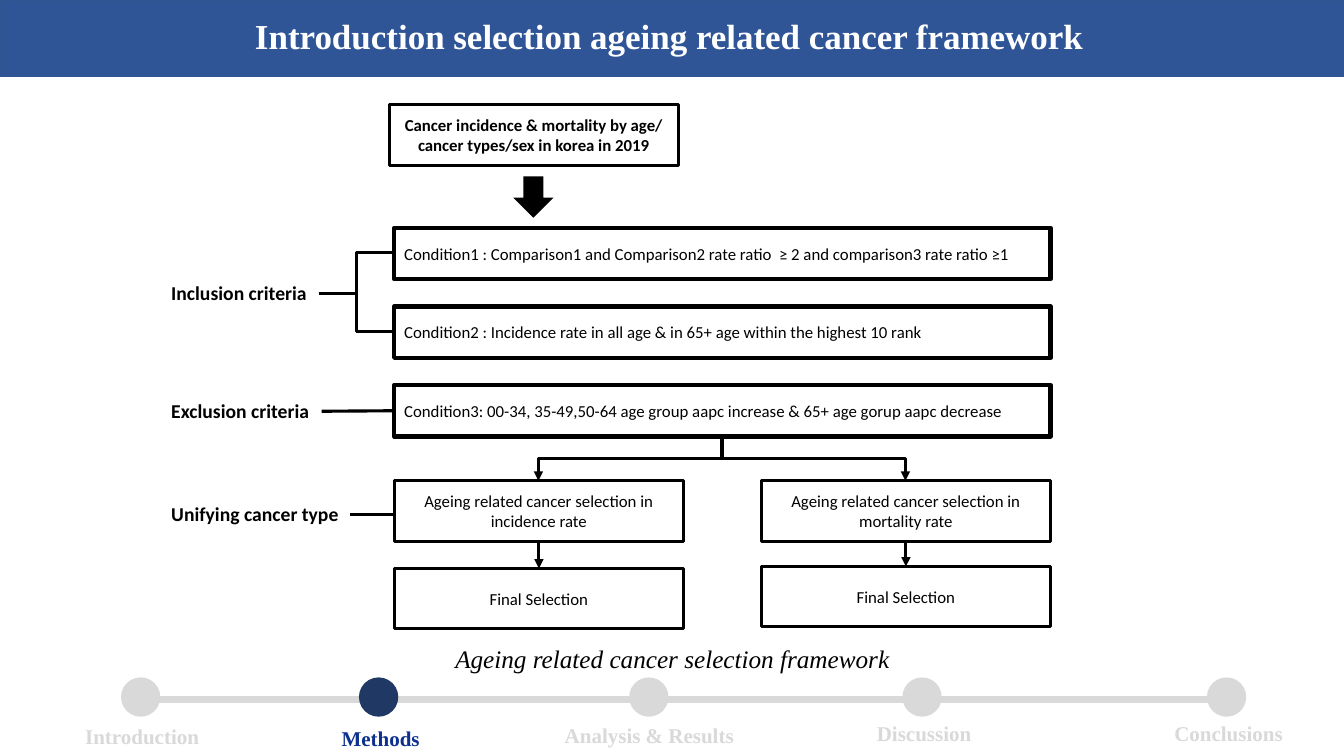
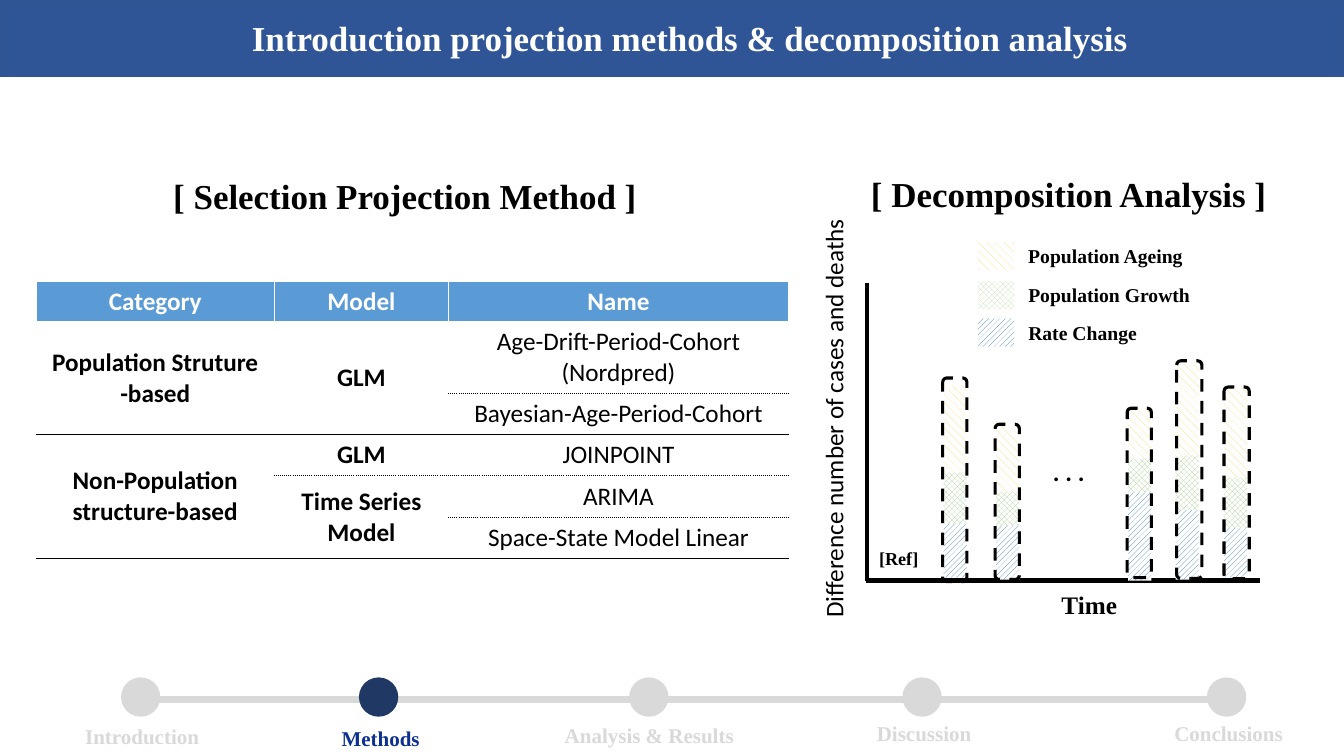
"""Build two slides on the selection framework and the projection methods."""
import pptx
import pptx.dml.color
import pptx.enum.dml
import pptx.enum.shapes
import pptx.enum.text
import pptx.oxml.ns
import pptx.util
from lxml import etree

BLACK = pptx.dml.color.RGBColor(0x00, 0x00, 0x00)
WHITE = pptx.dml.color.RGBColor(0xFF, 0xFF, 0xFF)
BAND = pptx.dml.color.RGBColor(0x2F, 0x55, 0x97)
BAND_EDGE = pptx.dml.color.RGBColor(0x32, 0x54, 0x91)
GREY = pptx.dml.color.RGBColor(0xD9, 0xD9, 0xD9)
NAVY = pptx.dml.color.RGBColor(0x20, 0x38, 0x64)
ACTIVE = pptx.dml.color.RGBColor(0x0E, 0x31, 0x8F)
HEADER = pptx.dml.color.RGBColor(0x5B, 0x9B, 0xD5)
BLUE = pptx.dml.color.RGBColor(0x2E, 0x75, 0xB6)
GREEN = pptx.dml.color.RGBColor(0xA9, 0xD1, 0x8E)
PALE_GREEN = pptx.dml.color.RGBColor(0xC5, 0xE0, 0xB4)
YELLOW = pptx.dml.color.RGBColor(0xFF, 0xD9, 0x66)

SHAPE = pptx.enum.shapes.MSO_SHAPE
CONNECTOR = pptx.enum.shapes.MSO_CONNECTOR
ALIGN = pptx.enum.text.PP_ALIGN
ANCHOR = pptx.enum.text.MSO_ANCHOR
FIT = pptx.enum.text.MSO_AUTO_SIZE
PATTERN = pptx.enum.dml.MSO_PATTERN

SERIF, SANS = "Times New Roman", "Calibri"
TITLE = {"name": SERIF, "size": pptx.util.Pt(25), "bold": True}
STAGE = {"name": SERIF, "size": pptx.util.Pt(15), "bold": True}
LEGEND = {"name": SERIF, "size": pptx.util.Pt(14), "bold": True}
REFERENCE = {"name": SERIF, "size": pptx.util.Pt(13), "bold": True}
AXIS = {"name": SERIF, "size": pptx.util.Pt(18), "bold": True}
CAPTION = {"name": SERIF, "size": pptx.util.Pt(18), "italic": True}
LABEL = {"name": SANS, "size": pptx.util.Pt(14), "bold": True}
STEP = {"name": SANS, "size": pptx.util.Pt(12), "bold": False}
STEP_BOLD = {**STEP, "bold": True}
CELL = {"name": SANS, "size": pptx.util.Pt(18), "bold": False}
CELL_BOLD = {**CELL, "bold": True}

STAGES = [
    ("Introduction", 1.2, (0.74, 7.13, 1.34, 0.35)),
    ("Methods", 3.56, (3.28, 7.15, 0.99, 0.35)),
    ("Analysis & Results", 6.24, (5.49, 7.12, 1.9, 0.35)),
    ("Discussion", 8.95, (8.59, 7.1, 1.15, 0.35)),
    ("Conclusions", 11.97, (11.54, 7.1, 1.29, 0.35)),
]
CURRENT_STAGE = "Methods"

METHODS = [
    ["Category", "Model", "Name"],
    ["Population Struture -based", "GLM", "Age-Drift-Period-Cohort (Nordpred)"],
    ["", "", "Bayesian-Age-Period-Cohort"],
    ["Non-Population structure-based", "GLM", "JOINPOINT"],
    ["", "Time Series Model", "ARIMA"],
    ["", "", "Space-State Model Linear"],
]
MERGES = [(1, 0, 2, 0), (1, 1, 2, 1), (3, 0, 5, 0), (4, 1, 5, 1)]
GROUP_ENDS = (2, 5)

AGEING = (PATTERN.DASHED_DOWNWARD_DIAGONAL, YELLOW)
GROWTH = (PATTERN.SOLID_DIAMOND, GREEN)
RATE = (PATTERN.WIDE_UPWARD_DIAGONAL, BLUE)
BARS = [
    (9.36, (3.82, 4.69, 5.2, 5.73), (9.35, 3.75, 0.24, 2.02)),
    (9.88, (4.18, 4.88, 5.22, 5.75), (9.87, 4.21, 0.24, 1.54)),
    (11.19, (4.05, 4.55, 4.89, 5.76), (11.18, 4.05, 0.24, 1.68)),
    (11.66, (3.61, 4.52, 5.06, 5.75), (11.67, 3.58, 0.25, 2.16)),
    (12.14, (3.84, 4.74, 5.24, 5.73), (12.14, 3.84, 0.25, 1.9)),
]
KEYS = [
    ("Population Ageing", 2.4, 1.74, AGEING),
    ("Population Growth", 2.79, 1.81, (PATTERN.SOLID_DIAMOND, PALE_GREEN)),
    ("Rate Change", 3.16, 1.29, RATE),
]


def inches(values):
    """Turn numbers into lengths."""
    return [pptx.util.Inches(value) for value in values]


def add_xml(parent, tag, **attributes):
    """Append a drawing element and return it."""
    return etree.SubElement(parent, pptx.oxml.ns.qn(tag), attributes)


class Slides:
    """Hold the deck, its style and the current page."""

    def __init__(self):
        """Start a wide deck."""
        self.deck = pptx.Presentation()
        self.deck.slide_width, self.deck.slide_height = inches((13.33, 7.5))
        self.page = None

    def fill_text(self, frame, text, style, color=BLACK, align=ALIGN.CENTER):
        """Put one formatted paragraph into a text frame."""
        para = frame.paragraphs[0]
        para.alignment = align
        span = para.add_run()
        span.text = text
        for name, value in style.items():
            setattr(span.font, name, value)
        span.font.color.rgb = color

    def start(self, title, place):
        """Add a page with its band, title and stage tracker."""
        self.page = self.deck.slides.add_slide(self.deck.slide_layouts[5])
        band = self.shape((0, 0, 13.33, 0.76), fill=BAND, line=BAND_EDGE, width=1)
        self.page.shapes._spTree.insert(2, band._element)
        box = self.page.shapes.title
        box.left, box.top, box.width, box.height = inches(place)
        frame = box.text_frame
        layout = {"word_wrap": True, "auto_size": FIT.NONE, "vertical_anchor": ANCHOR.TOP}
        for name, value in layout.items():
            setattr(frame, name, value)
        self.fill_text(frame, title, TITLE, WHITE)
        self.line((1.28, 6.94), (12.32, 6.94), 4.5, GREY)
        for name, left, label_place in STAGES:
            current = name == CURRENT_STAGE
            self.shape((left, 6.72, 0.39, 0.39), SHAPE.OVAL, NAVY if current else GREY)
            self.text(name, label_place, STAGE, ACTIVE if current else GREY)

    def shape(self, place, kind=SHAPE.RECTANGLE, fill=None, line=None, width=2.25):
        """Add a preset shape with a plain fill and outline."""
        box = self.page.shapes.add_shape(kind, *inches(place))
        box.shadow.inherit = False
        if fill is None:
            box.fill.background()
        else:
            box.fill.solid()
            box.fill.fore_color.rgb = fill
        if line is None:
            box.line.fill.background()
        else:
            box.line.color.rgb = line
            box.line.width = pptx.util.Pt(width)
        return box

    def patterned(self, place, pattern, color):
        """Add a rectangle with a pattern on white."""
        box = self.shape(place)
        box.fill.patterned()
        box.fill.pattern = pattern
        box.fill.fore_color.rgb = color
        box.fill.back_color.rgb = WHITE

    def step(self, text, place, style=STEP, align=ALIGN.CENTER, width=2.25):
        """Add an outlined flow box with text."""
        box = self.shape(place, line=BLACK, width=width)
        box.text_frame.word_wrap = True
        box.text_frame.vertical_anchor = ANCHOR.MIDDLE
        self.fill_text(box.text_frame, text, style, align=align)
        return box

    def text(self, text, place, style, color=BLACK, align=ALIGN.CENTER, wrap=False):
        """Add a text box."""
        box = self.page.shapes.add_textbox(*inches(place))
        box.text_frame.word_wrap = wrap
        box.text_frame.auto_size = FIT.SHAPE_TO_FIT_TEXT
        self.fill_text(box.text_frame, text, style, color, align)
        return box

    def line(self, start, end, width=2.25, color=BLACK, arrow=False, kind=CONNECTOR.STRAIGHT):
        """Add a connector between two points."""
        link = self.page.shapes.add_connector(kind, *inches((*start, *end)))
        link.line.color.rgb = color
        link.line.width = pptx.util.Pt(width)
        if arrow:
            add_xml(link.line._get_or_add_ln(), "a:tailEnd", type="triangle")
        add_xml(link._element.spPr, "a:effectLst")
        return link

    def drop_elbow(self, start, end):
        """Add an arrow that goes down, across and down."""
        (x1, y1), (x2, y2) = start, end
        middle_x, middle_y = (x1 + x2) / 2, (y1 + y2) / 2
        side = (y2 - y1) / 2 * (1 if x2 > x1 else -1)
        reach = abs(x2 - x1) / 2
        link = self.line((middle_x + side, middle_y - reach), (middle_x - side, middle_y + reach),
                         arrow=True, kind=CONNECTOR.ELBOW)
        turn = 270 if x2 > x1 else 90
        link._element.spPr.find(pptx.oxml.ns.qn("a:xfrm")).set("rot", str(turn * 60000))

    def edge(self, cell, side, color, dash="solid"):
        """Draw one border of a cell, or none without a colour."""
        line = add_xml(cell._tc.get_or_add_tcPr(), "a:ln" + side, w="12700")
        if color is None:
            add_xml(line, "a:noFill")
        else:
            add_xml(add_xml(line, "a:solidFill"), "a:srgbClr", val=str(color))
            add_xml(line, "a:prstDash", val=dash)

    def rule_after(self, row):
        """Give the colour and dash of the line below a row."""
        if row == 0:
            return WHITE, "solid"
        return BLACK, "solid" if row in GROUP_ENDS else "sysDot"

    def table(self, place, widths, heights, rows, merges):
        """Add a table with ruled groups of rows."""
        frame = self.page.shapes.add_table(len(rows), len(widths), *inches(place))
        table = frame.table
        table.horz_banding = False
        for column, width in zip(table.columns, inches(widths)):
            column.width = width
        for line, height in zip(table.rows, inches(heights)):
            line.height = height
        for top, left, bottom, right in merges:
            table.cell(top, left).merge(table.cell(bottom, right))
        for row, texts in enumerate(rows):
            for column, text in enumerate(texts):
                self.cell(table.cell(row, column), row, column, text)

    def cell(self, cell, row, column, text):
        """Format one table cell."""
        last = row + cell.span_height - 1 if cell.is_merge_origin else row
        inner = cell.is_spanned
        self.edge(cell, "L", WHITE)
        self.edge(cell, "R", WHITE)
        self.edge(cell, "T", *((None,) if inner else self.rule_after(max(row - 1, 0))))
        hidden = inner and row not in GROUP_ENDS
        self.edge(cell, "B", *((None,) if hidden else self.rule_after(last)))
        if row == 0:
            cell.fill.solid()
            cell.fill.fore_color.rgb = HEADER
        else:
            cell.fill.background()
        cell.vertical_anchor = ANCHOR.MIDDLE
        if text:
            style = CELL_BOLD if row == 0 or column < 2 else CELL
            self.fill_text(cell.text_frame, text, style, WHITE if row == 0 else BLACK)


def framework(slides):
    """Draw the cancer selection flow."""
    slides.start("Introduction selection ageing related cancer framework", (2.3, 0.09, 8.67, 0.52))
    slides.text("Ageing related cancer selection framework", (3.34, 6.33, 6.66, 0.4), CAPTION, wrap=True)
    slides.step("Cancer incidence & mortality by age/ cancer types/sex in korea in 2019",
                (3.86, 1.04, 2.87, 0.6), STEP_BOLD)
    slides.shape((5.09, 1.75, 0.4, 0.41), SHAPE.DOWN_ARROW, BLACK)
    conditions = [
        "Condition1 : Comparison1 and Comparison2 rate ratio  ≥ 2 and comparison3 rate ratio ≥1",
        "Condition2 : Incidence rate in all age & in 65+ age within the highest 10 rank",
        "Condition3: 00-34, 35-49,50-64 age group aapc increase & 65+ age gorup aapc decrease",
    ]
    for index, text in enumerate(conditions):
        condition = slides.step(text, (3.91, 2.26 + 0.78 * index, 6.51, 0.51), align=ALIGN.LEFT, width=3)
    for text, top, width in [("Inclusion criteria", 2.74, 1.56), ("Exclusion criteria", 3.91, 1.58),
                             ("Unifying cancer type", 4.93, 1.87)]:
        slides.text(text, (1.6, top, width, 0.34), LABEL, align=ALIGN.LEFT)
    for level in (2.51, 3.29):
        slides.line((3.16, 2.91), (3.91, level), kind=CONNECTOR.ELBOW)
    slides.line((3.91, 4.08), (3.19, 4.08)).begin_connect(condition, 1)
    slides.line((3.91, 5.1), (3.47, 5.1))
    for rate, left, final_top in [("incidence", 3.91, 5.64), ("mortality", 7.55, 5.62)]:
        selection = slides.step(f"Ageing related cancer selection in {rate} rate", (left, 4.77, 2.87, 0.6))
        final = slides.step("Final Selection", (left, final_top, 2.87, 0.6))
        middle = left + 1.43
        slides.drop_elbow((7.16, 4.33), (middle, 4.77))
        arrow = slides.line((middle, 5.37), (middle, final_top), arrow=True)
        arrow.begin_connect(selection, 2)
        arrow.end_connect(final, 0)


def projection(slides):
    """Draw the method table and the decomposition sketch."""
    slides.start("Introduction projection methods & decomposition analysis", (1.78, 0.11, 10.12, 0.52))
    slides.table((0.36, 2.79, 7.46, 2.75), (2.36, 1.73, 3.37), (0.4, 0.71, 0.41, 0.41, 0.41, 0.41),
                 METHODS, MERGES)
    slides.text("[ Selection Projection Method ]", (1.62, 1.68, 4.86, 0.52), TITLE, align=ALIGN.LEFT)
    slides.text("[ Decomposition Analysis ]", (8.54, 1.66, 4.17, 0.52), TITLE, align=ALIGN.LEFT)
    slides.line((8.6, 2.81), (8.6, 5.76), 3)
    slides.line((12.5, 5.76), (8.59, 5.76), 3)
    slides.text("Time", (10.43, 5.8, 0.76, 0.4), AXIS, align=ALIGN.LEFT)
    slides.text("[Ref]", (8.62, 5.38, 0.6, 0.32), REFERENCE, align=ALIGN.LEFT)
    slides.text(". . .", (10.31, 4.48, 0.58, 0.4), CELL_BOLD)
    for left, levels, outline in BARS:
        for top, bottom, look in zip(levels, levels[1:], (AGEING, GROWTH, RATE)):
            slides.patterned((left, top, 0.23, bottom - top), *look)
        frame = slides.shape(outline, SHAPE.ROUNDED_RECTANGLE, line=BLACK)
        frame.line.dash_style = pptx.enum.dml.MSO_LINE.DASH
    for text, top, width, look in KEYS:
        slides.patterned((9.7, top, 0.36, 0.28), *look)
        slides.text(text, (10.1, top - 0.03, width, 0.34), LEGEND, align=ALIGN.LEFT)
    label = slides.text("Difference number of cases and deaths", (6.15, 3.91, 4.23, 0.4), CELL,
                        align=ALIGN.LEFT, wrap=True)
    label.rotation = 270


def main():
    """Build and save the deck."""
    slides = Slides()
    framework(slides)
    projection(slides)
    slides.deck.save("out.pptx")


if __name__ == "__main__":
    main()
